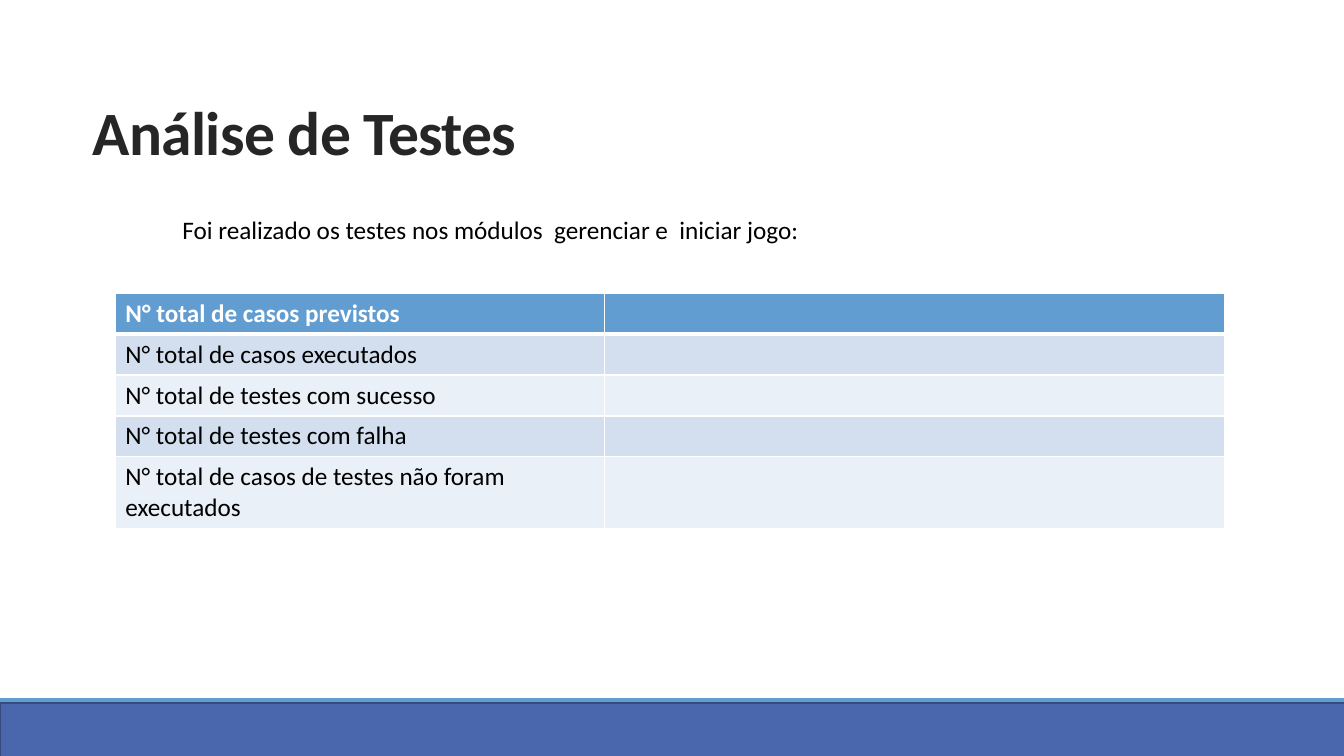
from pptx import Presentation
from pptx.dml.color import RGBColor
from pptx.enum.shapes import MSO_SHAPE
from pptx.enum.text import MSO_ANCHOR, MSO_AUTO_SIZE, PP_ALIGN
from pptx.oxml.ns import qn
from pptx.util import Pt
from lxml import etree

RECTANGLE = MSO_SHAPE.RECTANGLE
BOTTOM = MSO_ANCHOR.BOTTOM
NO_AUTOFIT = MSO_AUTO_SIZE.NONE
LEFT = PP_ALIGN.LEFT
TITLE_ONLY = 5

WHITE, BLACK, CHARCOAL = "FFFFFF", "000000", "262626"
INDIGO, NAVY, SKY = "4A66AC", "374B7F", "629DD1"
BANDS = ("D3DFEE", "EAF0F7")

TEST_COUNTS = (
    "N° total de casos previstos",
    "N° total de casos executados",
    "N° total de testes com sucesso",
    "N° total de testes com falha",
    "N° total de casos de testes não foram executados",
)


def color(hex_code):
    return RGBColor.from_string(hex_code)


class SlideBuilder:
    """Draws styled elements on one slide, with lengths in points."""

    def __init__(self, slide, font_name="Calibri", body_size=18):
        self.slide = slide
        self.font_name = font_name
        self.body_size = body_size

    def style(self, paragraph, hex_code, size=None, bold=False):
        paragraph.alignment = LEFT
        font = paragraph.font
        font.name = self.font_name
        font.size = Pt(size or self.body_size)
        font.bold = bold
        font.color.rgb = color(hex_code)

    def title(self, text, left, top, width, height):
        heading = self.slide.shapes.title
        heading.left, heading.top = Pt(left), Pt(top)
        heading.width, heading.height = Pt(width), Pt(height)
        frame = heading.text_frame
        frame.text = text
        frame.vertical_anchor = BOTTOM
        frame.auto_size = NO_AUTOFIT
        paragraph = frame.paragraphs[0]
        paragraph.line_spacing = 0.85
        self.style(paragraph, CHARCOAL, size=44, bold=True)
        paragraph._p.pPr.find(qn("a:defRPr")).set("spc", "-50")

    def text(self, text, left, top, width, height, inset):
        frame = self.slide.shapes.add_textbox(
            Pt(left), Pt(top), Pt(width), Pt(height)).text_frame
        frame.word_wrap = True
        frame.margin_left = Pt(inset)
        frame.text = text
        self.style(frame.paragraphs[0], BLACK)

    def bar(self, left, top, width, height, fill, outline=None):
        band = self.slide.shapes.add_shape(
            RECTANGLE, Pt(left), Pt(top), Pt(width), Pt(height))
        band.shadow.inherit = False
        band.fill.solid()
        band.fill.fore_color.rgb = color(fill)
        if outline:
            band.line.color.rgb = color(outline)
            band.line.width = Pt(1.25)
        else:
            band.line.fill.background()

    def border(self, cell, side, width):
        edge = etree.Element(qn(f"a:ln{side}"), w=str(Pt(width)))
        fill = etree.SubElement(edge, qn("a:solidFill"))
        etree.SubElement(fill, qn("a:srgbClr"), val=WHITE)
        return edge

    def cell(self, cell, text, fill, ink, bold, top_width, bottom_width):
        cell.text = text
        self.style(cell.text_frame.paragraphs[0], ink, bold=bold)
        cell.fill.solid()
        cell.fill.fore_color.rgb = color(fill)
        widths = {"L": 1, "R": 1, "T": top_width, "B": bottom_width}
        properties = cell._tc.get_or_add_tcPr()
        for position, (side, width) in enumerate(widths.items()):
            properties.insert(position, self.border(cell, side, width))

    def table(self, labels, left, top, column_widths, row_heights):
        grid = self.slide.shapes.add_table(
            len(labels), len(column_widths), Pt(left), Pt(top),
            Pt(sum(column_widths)), Pt(sum(row_heights))).table
        grid.horz_banding = False
        for column, width in zip(grid.columns, column_widths):
            column.width = Pt(width)
        for index, (row, label) in enumerate(zip(grid.rows, labels)):
            row.height = Pt(row_heights[index])
            header = index == 0
            fill = SKY if header else BANDS[(index - 1) % 2]
            for cell, content in zip(row.cells, (label, "")):
                self.cell(cell, content, fill,
                          ink=WHITE if header else BLACK, bold=header,
                          top_width=3 if index == 1 else 1,
                          bottom_width=3 if header else 1)


def main():
    deck = Presentation()
    deck.slide_width, deck.slide_height = Pt(960), Pt(540)
    builder = SlideBuilder(
        deck.slides.add_slide(deck.slide_layouts[TITLE_ONLY]))
    builder.bar(0, 498.6, 960, 5, SKY)
    builder.title("Análise de Testes", 59, 55.4, 388, 68.4)
    builder.bar(0, 502, 988.6, 59, INDIGO, outline=NAVY)
    builder.text(
        "Foi realizado os testes nos módulos  gerenciar e  iniciar jogo:",
        110.9, 149.8, 752.4, 51, inset=19.4)
    builder.table(TEST_COUNTS, 82.4, 209.5, (349.2, 442.8),
                  (29.2,) * 4 + (51,))
    deck.save("out.pptx")


if __name__ == "__main__":
    main()
